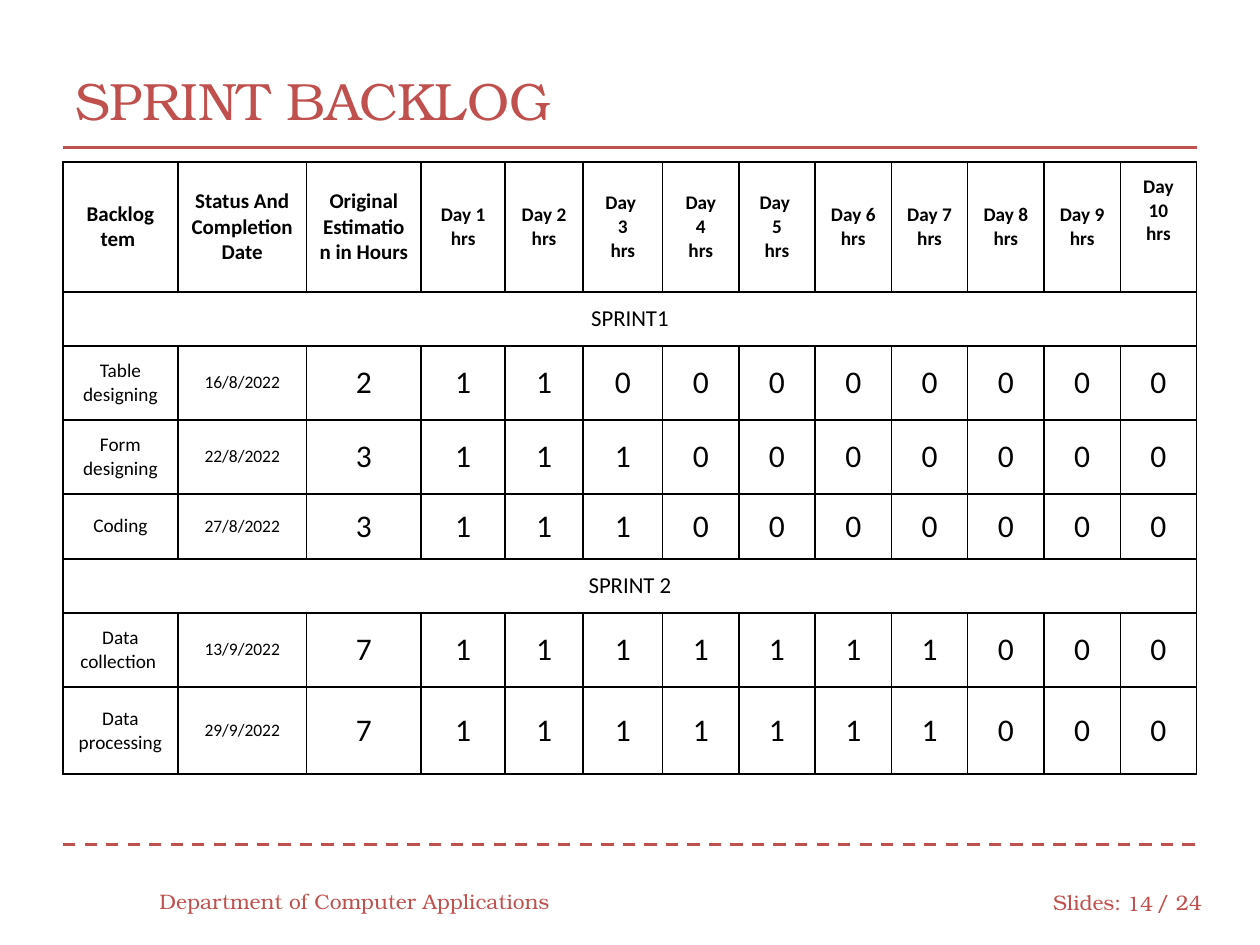
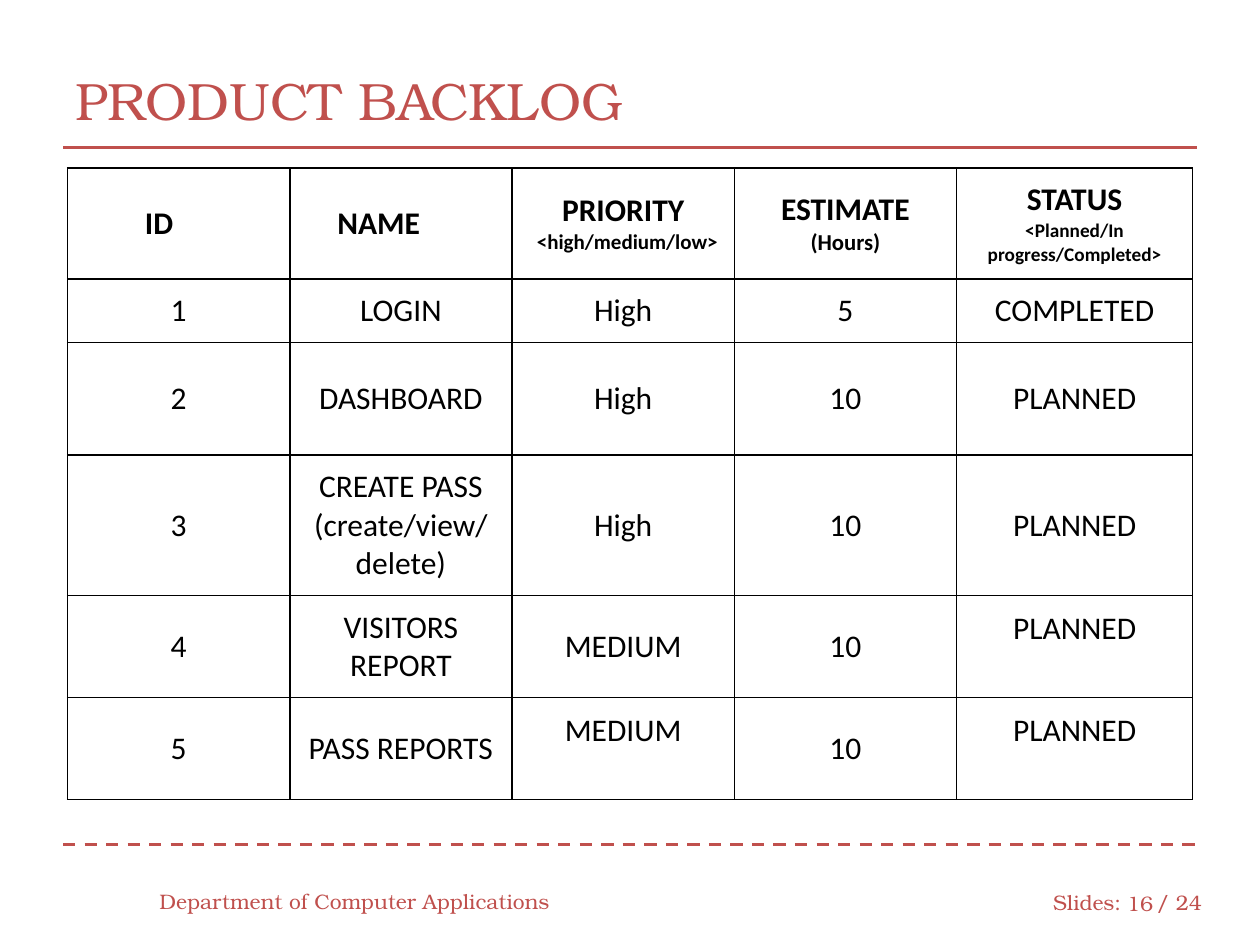
"""Build the sprint backlog and product backlog slides."""
from dataclasses import dataclass

from lxml.etree import SubElement
from pptx import Presentation
from pptx.dml.color import RGBColor as Rgb
from pptx.enum.dml import MSO_LINE_DASH_STYLE as Dash
from pptx.enum.text import MSO_VERTICAL_ANCHOR as Anchor, PP_PARAGRAPH_ALIGNMENT as Align
from pptx.oxml.ns import qn
from pptx.util import Pt


@dataclass(frozen=True)
class Theme:
    accent: str = "C0504D"
    ink: str = "000000"
    paper: str = "FFFFFF"
    display: str = "TeX Gyre Bonum"
    body: str = "Calibri"
    title: float = 30
    footer: float = 12
    value: float = 18
    section: float = 13
    heading: float = 12
    label: float = 11
    date: float = 10
    rule: float = 1.75
    border: float = 1
    inset: float = 7.2


@dataclass(frozen=True)
class Entry:
    lines: tuple
    sizes: tuple
    bold: bool = False
    indents: tuple = (None,)
    lift: float = 0


THEME = Theme()
DEPARTMENT = "Department of Computer Applications"
TOTAL = 24

SPRINT_HEADINGS = ["Backlog tem ", "Status And Completion Date", "Original Estimation in Hours "]
SPRINT_DAYS = [("Day 1", "hrs"), ("Day 2", "hrs"), ("Day ", "3", "hrs"), ("Day", "4", "hrs"),
               ("Day ", "5", "hrs"), ("Day 6", "hrs"), ("Day 7", "hrs"), ("Day 8", "hrs"),
               ("Day 9", "hrs"), ("Day 10", "hrs")]
SPRINTS = [
    ("SPRINT1", [("Table designing", "16/8/2022", 2), ("Form designing", "22/8/2022", 3),
                 ("Coding", "27/8/2022", 3)]),
    ("SPRINT 2", [("Data collection ", "13/9/2022", 7), ("Data processing", "29/9/2022", 7)]),
]
PRODUCT_HEADINGS = [
    Entry(("ID",), (THEME.value,), True, (37,)),
    Entry(("NAME",), (THEME.value,), True, (20,)),
    Entry(("PRIORITY", "<high/medium/low>"), (THEME.value, THEME.heading), True, (None, 7)),
    Entry(("ESTIMATE", "(Hours)"), (THEME.value, THEME.section), True),
    Entry(("STATUS", "<Planned/In progress/Completed>"), (THEME.value, THEME.label), True),
]
PRODUCT_ITEMS = [
    ("1", "LOGIN", "High", "5", "COMPLETED"),
    ("2", "DASHBOARD", "High", "10", "PLANNED"),
    ("3", ("CREATE PASS", "(create/view/", "delete)"), "High", "10", "PLANNED"),
    ("4", "VISITORS REPORT", "MEDIUM", "10", "PLANNED"),
    ("5", "PASS REPORTS", "MEDIUM", "10", "PLANNED"),
]
RAISED = {("4", 4): 21, ("5", 2): 21, ("5", 4): 21}


def entry(text, size, **options):
    lines = text if isinstance(text, tuple) else (text,)
    return Entry(lines, (size,), **options)


def sprint_rows():
    rows = [[entry(text, THEME.heading, bold=True) for text in SPRINT_HEADINGS]
            + [entry(day, THEME.label, bold=True, lift=20 if day[0] == "Day 10" else 0)
               for day in SPRINT_DAYS]]
    for sprint, tasks in SPRINTS:
        rows.append([entry(sprint, THEME.section)])
        for task, date, hours in tasks:
            daily = [1 if day < hours else 0 for day in range(len(SPRINT_DAYS))]
            if sprint == "SPRINT1":
                daily = [1 if day < DAYS_WORKED[task] else 0 for day in range(len(SPRINT_DAYS))]
            rows.append([entry(task, THEME.label), entry(date, THEME.date)]
                        + [entry(str(count), THEME.value) for count in [hours, *daily]])
    return rows


DAYS_WORKED = {"Table designing": 2, "Form designing": 3, "Coding": 3}


def product_rows():
    return [PRODUCT_HEADINGS] + [
        [entry(text, THEME.value, lift=RAISED.get((item[0], column), 0))
         for column, text in enumerate(item)] for item in PRODUCT_ITEMS]


def apply(target, formats):
    for name, value in formats.items():
        setattr(target, name, value)


def write(paragraph, text, size, font, color, bold=False, align=Align.LEFT):
    paragraph.alignment = align
    run = paragraph.add_run()
    run.text = text
    apply(run.font, {"size": Pt(size), "name": font, "bold": bold})
    run.font.color.rgb = Rgb.from_string(color)


def add_label(slide, text, box, size, align=Align.LEFT):
    frame = slide.shapes.add_textbox(*map(Pt, box)).text_frame
    apply(frame, {"word_wrap": True, "vertical_anchor": Anchor.MIDDLE})
    write(frame.paragraphs[0], text, size, THEME.display, THEME.accent, align=align)


def add_rule(slide, y, dash=None):
    rule = slide.shapes.add_connector(1, Pt(36), Pt(y), Pt(684), Pt(y))
    apply(rule.line, {"width": Pt(THEME.rule), "dash_style": dash})
    rule.line.color.rgb = Rgb.from_string(THEME.accent)
    SubElement(rule._element.spPr, qn("a:effectLst"))


def add_frame(slide, title, number):
    add_rule(slide, 482.4, Dash.DASH)
    add_rule(slide, 84.2)
    add_label(slide, title, (36, 24, 648, 66), THEME.title)
    for text, box, align in [
        ("Slides:", (594.7, 501, 54, 29), Align.LEFT),
        (f"/ {TOTAL}", (653.8, 501, 42, 29), Align.LEFT),
        (DEPARTMENT, (84, 500.4, 240, 29), Align.LEFT),
        (str(number), (635.8, 501.8, 30.2, 29), Align.RIGHT),
    ]:
        add_label(slide, text, box, THEME.footer, align)


def fill_cell(cell, content):
    apply(cell, {"vertical_anchor": Anchor.MIDDLE, "margin_left": Pt(THEME.inset),
                 "margin_right": Pt(THEME.inset), "margin_top": Pt(THEME.inset),
                 "margin_bottom": Pt(THEME.inset + content.lift)})
    for index, text in enumerate(content.lines):
        frame = cell.text_frame
        paragraph = frame.add_paragraph() if index else frame.paragraphs[0]
        size = content.sizes[min(index, len(content.sizes) - 1)]
        indent = content.indents[min(index, len(content.indents) - 1)]
        align = Align.CENTER if indent is None else Align.LEFT
        write(paragraph, text, size, THEME.body, THEME.ink, content.bold, align)
        if indent is not None:
            paragraph._p.get_or_add_pPr().set("marL", str(Pt(indent)))


def paint_cell(cell):
    properties = cell._tc.get_or_add_tcPr()
    for side in ("lnL", "lnR", "lnT", "lnB"):
        border = SubElement(properties, qn(f"a:{side}"), w=str(Pt(THEME.border)))
        SubElement(SubElement(border, qn("a:solidFill")), qn("a:srgbClr"), val=THEME.ink)
    cell.fill.solid()
    cell.fill.fore_color.rgb = Rgb.from_string(THEME.paper)


def add_backlog(slide, left, top, widths, heights, rows):
    box = map(Pt, (left, top, sum(widths), sum(heights)))
    backlog = slide.shapes.add_table(len(heights), len(widths), *box).table
    apply(backlog, {"first_row": False, "horz_banding": False})
    for column, width in zip(backlog.columns, widths):
        column.width = Pt(width)
    for row, height in zip(backlog.rows, heights):
        row.height = Pt(height)
    for cell in backlog.iter_cells():
        paint_cell(cell)
    for row, contents in enumerate(rows):
        if len(contents) == 1:
            backlog.cell(row, 0).merge(backlog.cell(row, len(widths) - 1))
        for column, content in enumerate(contents):
            fill_cell(backlog.cell(row, column), content)


SLIDES = [
    ("SPRINT BACKLOG", 14, 36, 92.7, [65.6, 73.6, 65.5, 48, 44.5, 45.6, 43.5] + [43.6] * 6,
     [69.7, 30.9, 42.3, 42.3, 37.1, 30.9, 42.4, 49.7], sprint_rows()),
    ("PRODUCT BACKLOG", 16, 38.6, 96, [127] * 4 + [135],
     [63.4, 36.4, 64.2, 80.4, 58.3, 58.3], product_rows()),
]


def main():
    deck = Presentation()
    apply(deck, {"slide_width": Pt(720), "slide_height": Pt(540)})
    for title, number, *backlog in SLIDES:
        slide = deck.slides.add_slide(deck.slide_layouts[6])
        add_frame(slide, title, number)
        add_backlog(slide, *backlog)
    deck.save("out.pptx")


if __name__ == "__main__":
    main()
